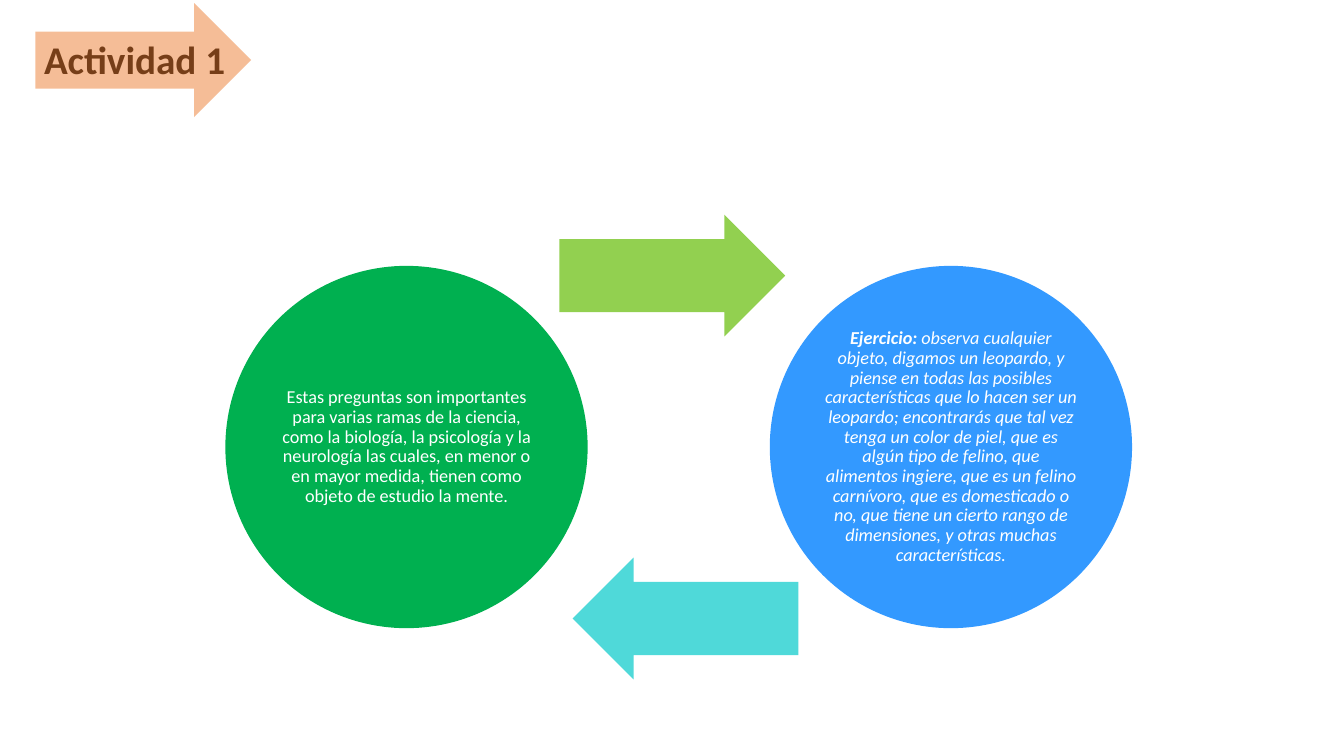
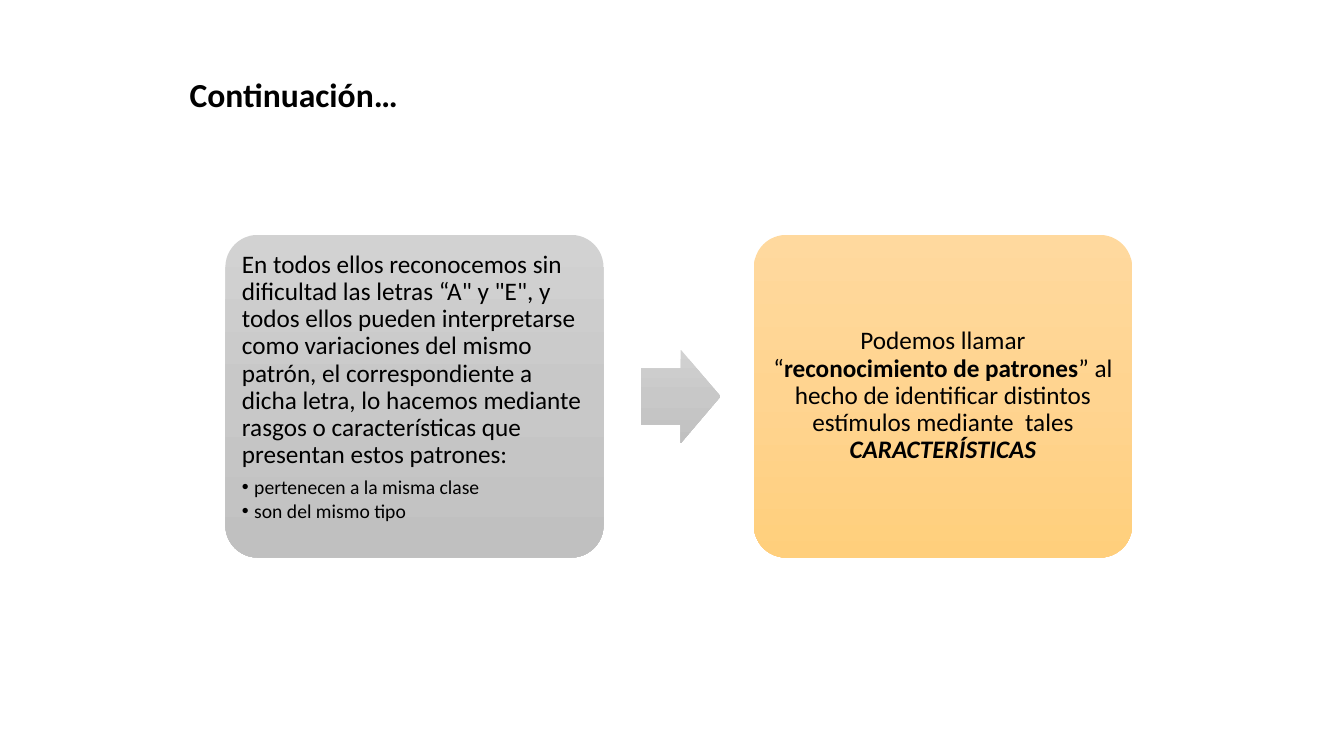
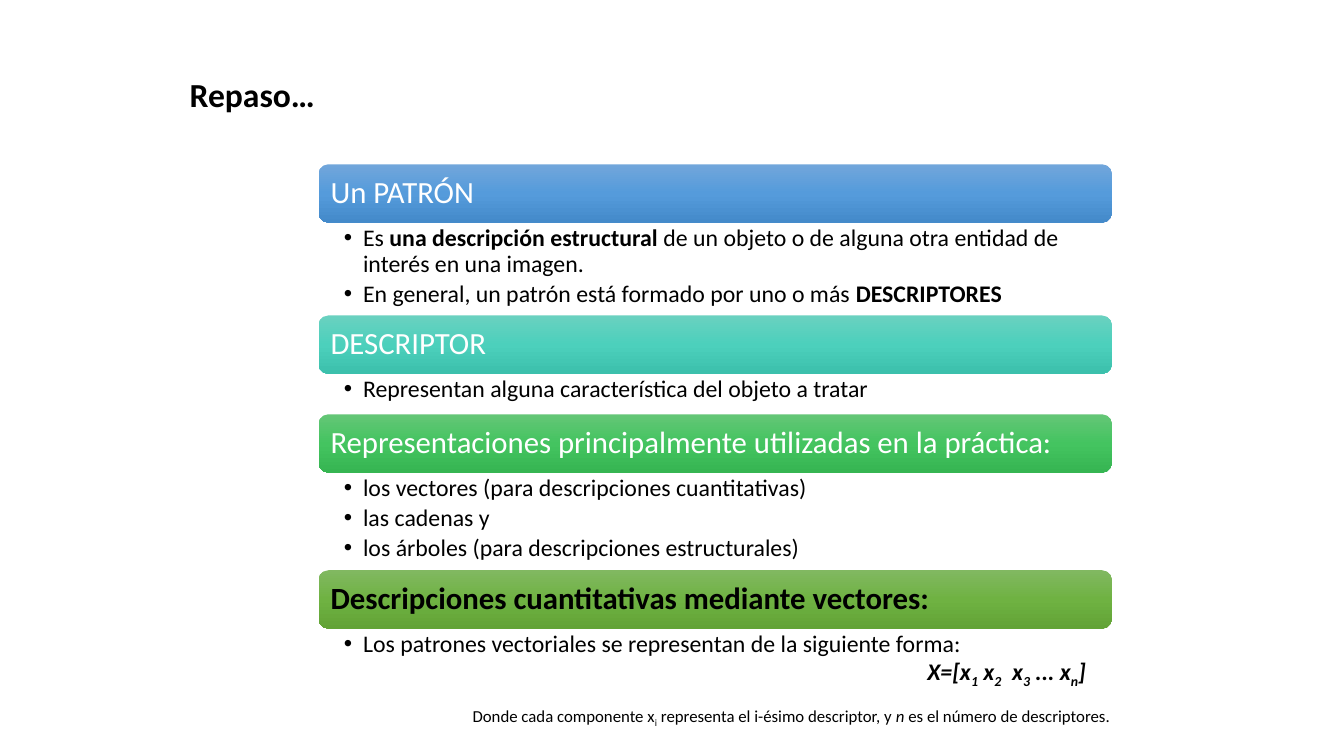
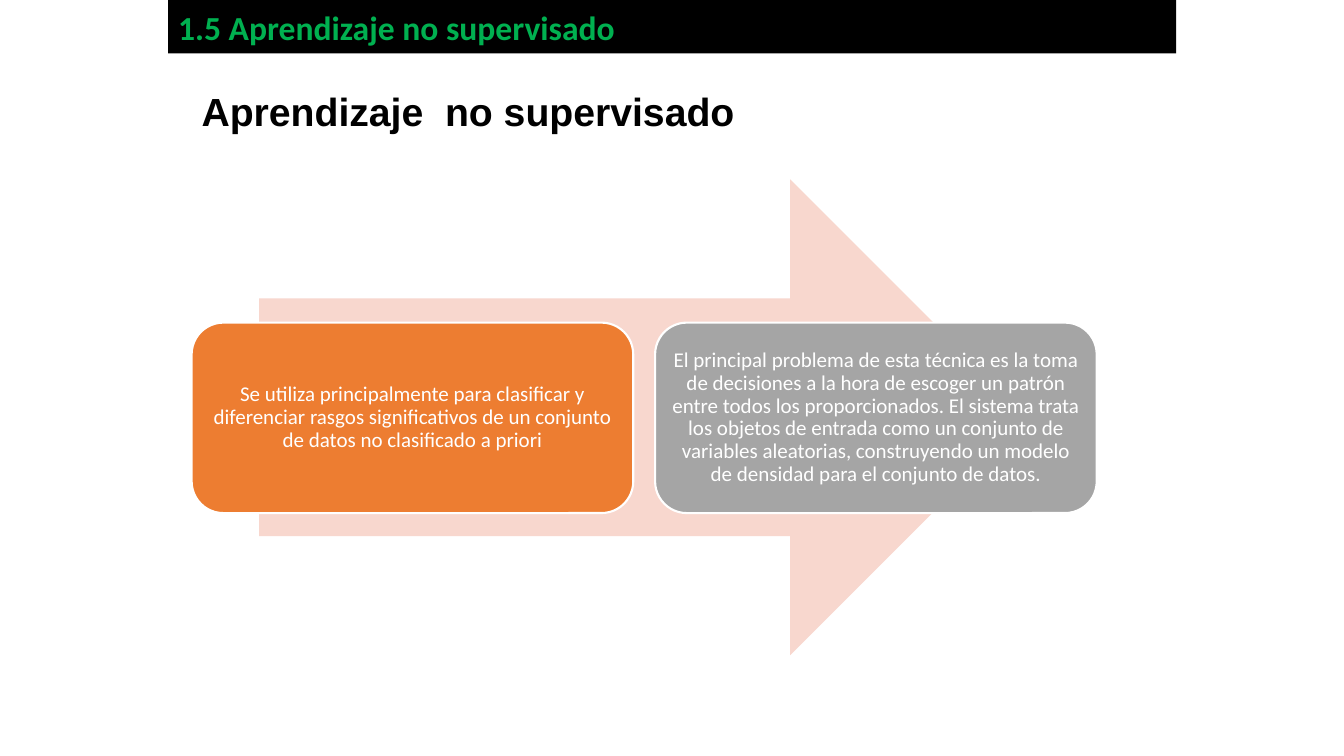
from copy import deepcopy

from lxml.etree import SubElement
from pptx import Presentation
from pptx.dml.color import RGBColor
from pptx.enum.shapes import MSO_SHAPE as Preset
from pptx.enum.text import MSO_ANCHOR as Anchor, PP_ALIGN as Align
from pptx.oxml.ns import qn
from pptx.util import Cm, Pt

# Colours
BLACK = RGBColor(0x00, 0x00, 0x00)
WHITE = RGBColor(0xFF, 0xFF, 0xFF)
GREEN = RGBColor(0x00, 0xB0, 0x50)
BLUE = RGBColor(0x33, 0x99, 0xFF)
LIME = RGBColor(0x92, 0xD0, 0x50)
TURQUOISE = RGBColor(0x4F, 0xD9, 0xD9)
ORANGE = RGBColor(0xED, 0x7D, 0x31)
GREY = RGBColor(0xA5, 0xA5, 0xA5)
PINK = RGBColor(0xF8, 0xD7, 0xCE)

# Gradients, top to bottom
SILVER_FADE = (RGBColor(0xD2, 0xD2, 0xD2), RGBColor(0xC8, 0xC8, 0xC8), RGBColor(0xC0, 0xC0, 0xC0))
AMBER_FADE = (RGBColor(0xFF, 0xD9, 0x9E), RGBColor(0xFF, 0xD4, 0x90), RGBColor(0xFF, 0xCF, 0x7C))
BLUE_FADE = (RGBColor(0x71, 0xA6, 0xDB), RGBColor(0x55, 0x9B, 0xDB), RGBColor(0x44, 0x8A, 0xCA))
TEAL_FADE = (RGBColor(0x6A, 0xD1, 0xC0), RGBColor(0x4C, 0xD0, 0xBC), RGBColor(0x3C, 0xC0, 0xAC))
GREEN_FADE = (RGBColor(0x64, 0xC6, 0x77), RGBColor(0x44, 0xC4, 0x60), RGBColor(0x36, 0xB5, 0x52))
OLIVE_FADE = (RGBColor(0x81, 0xB8, 0x61), RGBColor(0x6F, 0xB2, 0x42), RGBColor(0x62, 0xA3, 0x36))

# Shared places and insets, in cm: left, top, width, height / left, top, right, bottom
TITLE_BOX = (4.53, 1.55, 23.8, 1.78)
DEFAULT_INSETS = (0.25, 0.13, 0.25, 0.13)


def add_shape(slide, preset, box, fill=None, adjustments=(), insets=DEFAULT_INSETS, anchor=Anchor.MIDDLE):
    """Add a preset shape, or a text box when preset is None."""
    place = [Cm(length) for length in box]
    if preset is None:
        shape = slide.shapes.add_textbox(*place)
    else:
        shape = slide.shapes.add_shape(preset, *place)
        shape.shadow.inherit = False
        shape.line.fill.background()
        for index, value in enumerate(adjustments):
            shape.adjustments[index] = value
        if isinstance(fill, RGBColor):
            shape.fill.solid()
            shape.fill.fore_color.rgb = fill
        else:
            shape.fill.gradient()
            shape.fill.gradient_angle = 270
            stop_list = shape._element.xpath(".//a:gsLst")[0]
            stop_list.insert(1, deepcopy(stop_list[0]))
            for stop, color, position in zip(shape.fill.gradient_stops, fill, (0, 0.5, 1)):
                stop.color.rgb = color
                stop.position = position
    frame = shape.text_frame
    frame.word_wrap = True
    frame.vertical_anchor = anchor
    frame.margin_left, frame.margin_top, frame.margin_right, frame.margin_bottom = map(Cm, insets)
    return shape


def add_paragraph(shape, runs, size, color=BLACK, align=Align.LEFT, gap=0, indent=0,
                  bullet=False, font="Calibri", spacing=0.9):
    """Write (text, style) runs; style letters: b bold, i italic, s subscript."""
    frame = shape.text_frame
    paragraph = frame.paragraphs[0]
    if frame.text:
        paragraph = frame.add_paragraph()
        paragraph.space_before = Pt(gap)
    properties = paragraph._p.get_or_add_pPr()
    if indent:
        properties.set("marL", str(Cm(indent)))
    if bullet:
        properties.set("indent", str(-Cm(indent)))
        SubElement(properties, qn("a:buFont"), typeface="Arial")
        SubElement(properties, qn("a:buChar"), char="•")
    paragraph.alignment = align
    paragraph.line_spacing = spacing
    for text, style in runs:
        run = paragraph.add_run()
        run.text = text
        run.font.name = font
        run.font.size = Pt(size)
        run.font.color.rgb = color
        run.font.bold = "b" in style
        run.font.italic = "i" in style
        if "s" in style:
            run._r.get_or_add_rPr().set("baseline", "-25000")


presentation = Presentation()
presentation.slide_width = Cm(33.87)
presentation.slide_height = Cm(19.05)
blank = presentation.slide_layouts[6]
activity, continuation, review, unsupervised = [presentation.slides.add_slide(blank) for _ in range(4)]

# Titles
for slide, title, box, size in (
    (activity, "Actividad 1", (0.86, 0.74, 5.44, 1.63), 28),
    (continuation, "Continuación…", TITLE_BOX, 24),
    (review, "Repaso…", TITLE_BOX, 24),
):
    add_paragraph(add_shape(slide, None, box), [(title, "b")], size)

# Slide 1: translucent arrow over the title
title_arrow = add_shape(activity, Preset.RIGHT_ARROW, (0.89, 0.08, 5.44, 2.87), ORANGE)
SubElement(title_arrow._element.xpath(".//a:solidFill/a:srgbClr")[0], qn("a:alpha"), val="50000")

# Slide 1: two circles and the arrows of the cycle
circles = (
    (5.68, GREEN, [
        ("Estas preguntas son importantes para varias ramas de la ciencia, como la biología, "
         "la psicología y la neurología las cuales, en menor o en mayor medida, tienen como "
         "objeto de estudio la mente.", "")]),
    (19.4, BLUE, [
        ("Ejercicio: ", "bi"),
        ("observa cualquier objeto, digamos un leopardo, y piense en todas las posibles "
         "características que lo hacen ser un leopardo; encontrarás que tal vez tenga un color "
         "de piel, que es algún tipo de felino, que alimentos ingiere, que es un felino "
         "carnívoro, que es domesticado o no, que tiene un cierto rango de dimensiones, y otras "
         "muchas características.", "i")]),
)
for left, color, runs in circles:
    circle = add_shape(activity, Preset.OVAL, (left, 6.7, 9.13, 9.13), color, insets=(0.05,) * 4)
    add_paragraph(circle, runs, 13, WHITE, Align.CENTER)
for left, top, color, rotation in ((14.1, 5.41, LIME, 0), (14.43, 14.05, TURQUOISE, 180)):
    arrow = add_shape(activity, Preset.RIGHT_ARROW, (left, top, 5.69, 3.07), color, (0.6, 0.5))
    arrow.rotation = rotation

# Slide 2: two cards joined by an arrow
card_style = {"adjustments": (0.1,), "insets": (0.18,) * 4}
pattern_card = add_shape(continuation, Preset.ROUNDED_RECTANGLE, (5.68, 5.92, 9.53, 8.13),
                         SILVER_FADE, anchor=Anchor.TOP, **card_style)
add_paragraph(pattern_card, [
    ("En todos ellos reconocemos sin dificultad las letras “A\" y \"E\", y todos ellos pueden "
     "interpretarse como variaciones del mismo patrón, el correspondiente a dicha letra, lo "
     "hacemos mediante rasgos o características que presentan estos patrones:", "")], 18)
for text, gap in (("pertenecen a la misma clase", 6), ("son del mismo tipo", 2)):
    add_paragraph(pattern_card, [(text, "")], 14, gap=gap, indent=0.31, bullet=True)
add_shape(continuation, Preset.RIGHT_ARROW, (16.15, 8.81, 2.01, 2.36), SILVER_FADE, (0.6, 0.5))
recognition_card = add_shape(continuation, Preset.ROUNDED_RECTANGLE, (19, 5.92, 9.53, 8.13),
                             AMBER_FADE, **card_style)
add_paragraph(recognition_card, [
    ("Podemos llamar “", ""),
    ("reconocimiento de patrones", "b"),
    ("” al hecho de identificar distintos estímulos mediante  tales ", ""),
    ("CARACTERÍSTICAS", "bi")], 18, align=Align.CENTER)

# Slide 3: stacked bars, each followed by its bullets
LIST_LEFT, LIST_WIDTH, BAR_HEIGHT = 8.03, 19.99, 1.47
sections = (
    ("Un PATRÓN", BLUE_FADE, WHITE, "", 2.34, [
        [("Es ", ""), ("una descripción estructural ", "b"),
         ("de un objeto o de alguna otra entidad de interés en una imagen.", "")],
        [("En general, un patrón está formado por uno o más ", ""), ("DESCRIPTORES", "b")]]),
    ("DESCRIPTOR", TEAL_FADE, WHITE, "", 1.02, [
        [("Representan alguna característica del objeto a tratar", "")]]),
    ("Representaciones principalmente utilizadas en la práctica:", GREEN_FADE, WHITE, "", 2.46, [
        [("los vectores (para descripciones cuantitativas)", "")],
        [("las cadenas y", "")],
        [("los árboles (para descripciones estructurales)", "")]]),
    ("Descripciones cuantitativas mediante vectores:", OLIVE_FADE, BLACK, "b", 1.5, [
        [("Los patrones vectoriales se representan de la siguiente forma:", "")]]),
)
top = 4.14
for heading, fade, color, style, body_height, bullets in sections:
    bar = add_shape(review, Preset.ROUNDED_RECTANGLE, (LIST_LEFT, top, LIST_WIDTH, BAR_HEIGHT),
                    fade, insets=(0.23,) * 4)
    add_paragraph(bar, [(heading, style)], 22, color)
    body = add_shape(review, None, (LIST_LEFT, top + BAR_HEIGHT, LIST_WIDTH, body_height),
                     insets=(0.64, 0.08, 0.43, 0.08), anchor=Anchor.TOP)
    for runs in bullets:
        add_paragraph(body, runs, 17, gap=3.2, indent=0.48, bullet=True)
    top += BAR_HEIGHT + body_height

# Slide 3: vector formula under the last bullet, and its note
add_paragraph(body, [
    ("X=[x", "bi"), ("1", "bis"), (" x", "bi"), ("2", "bis"), ("  x", "bi"), ("3", "bis"),
    (" ... x", "bi"), ("n", "bis"), ("]", "bi")], 17, indent=14.7)
note = add_shape(review, None, (11.66, 17.65, 17.91, 0.9), anchor=Anchor.TOP)
add_paragraph(note, [
    ("Donde cada componente x", ""), ("i", "s"), (" representa el i-ésimo descriptor, y ", ""),
    ("n", "i"), (" es el número de descriptores.", "")], 12)

# Slide 4: section band and heading
band = add_shape(unsupervised, Preset.RECTANGLE, (4.24, 0, 25.4, 1.35), BLACK)
add_paragraph(band, [("1.5 Aprendizaje no supervisado", "b")], 24, GREEN, spacing=1.0)
heading_box = add_shape(unsupervised, None, (4.83, 2.08, 14.12, 1.45), anchor=Anchor.TOP)
heading_box.text_frame.word_wrap = False
add_paragraph(heading_box, [("Aprendizaje  no supervisado", "b")], 28, font="Arial", spacing=1.0)

# Slide 4: two cards on a wide arrow
add_shape(unsupervised, Preset.RIGHT_ARROW, (6.53, 4.52, 19.38, 11.99), PINK)
steps = (
    (4.83, ORANGE,
     "Se utiliza principalmente para clasificar y diferenciar rasgos significativos de un "
     "conjunto de datos no clasificado a priori"),
    (16.51, GREY,
     "El principal problema de esta técnica es la toma de decisiones a la hora de escoger un "
     "patrón entre todos los proporcionados. El sistema trata los objetos de entrada como un "
     "conjunto de variables aleatorias, construyendo un modelo de densidad para el conjunto de "
     "datos."),
)
for left, color, text in steps:
    card = add_shape(unsupervised, Preset.ROUNDED_RECTANGLE, (left, 8.13, 11.13, 4.8), color,
                     insets=(0.15,) * 4)
    card.line.color.rgb = WHITE
    card.line.width = Pt(1.5)
    add_paragraph(card, [(text, "")], 15, WHITE, Align.CENTER)

presentation.save("out.pptx")
